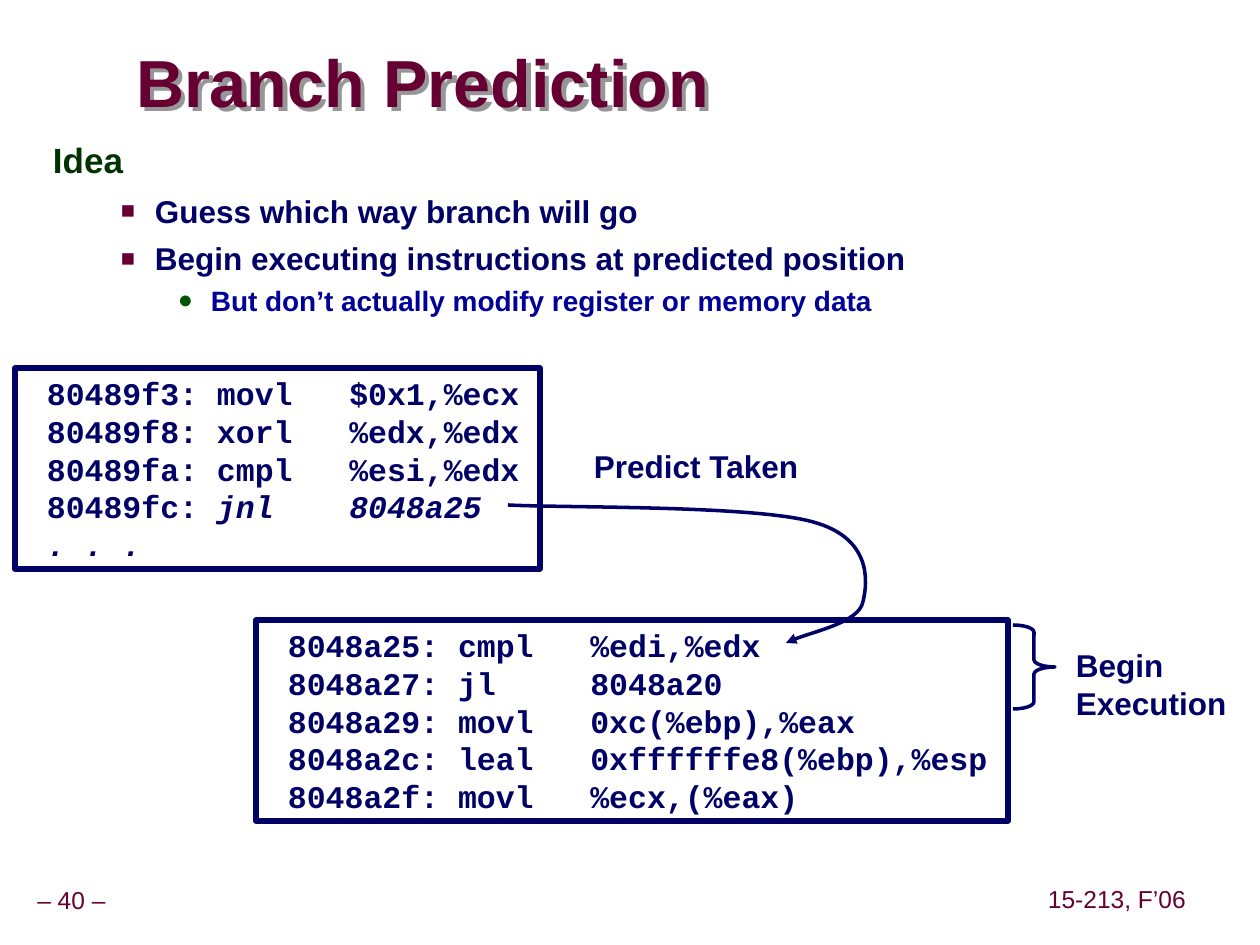
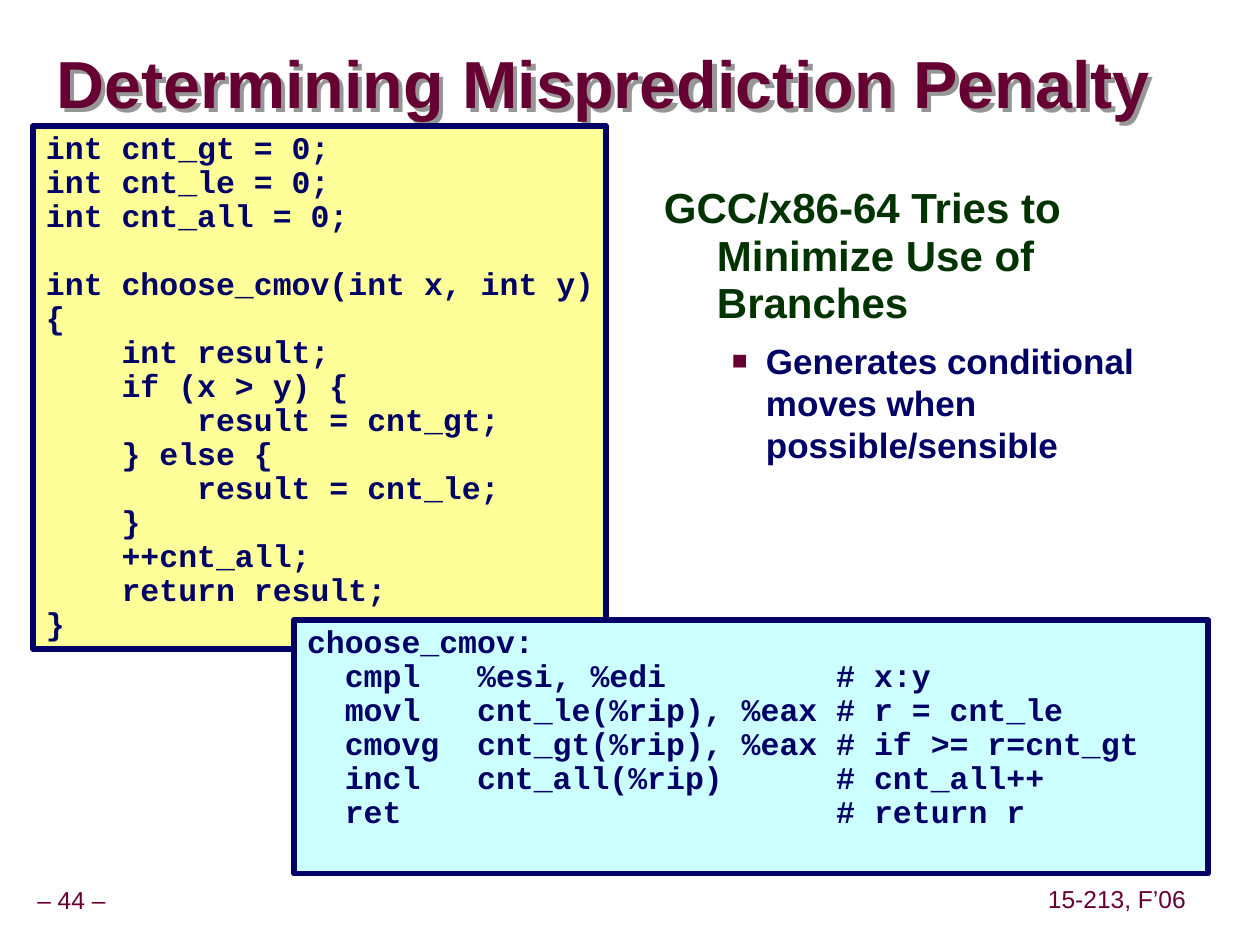
"""Build two lecture slides on branch prediction and misprediction penalty."""
from lxml import etree
from pptx import Presentation
from pptx.dml.color import RGBColor
from pptx.enum.shapes import MSO_SHAPE
from pptx.enum.text import MSO_ANCHOR, MSO_AUTO_SIZE, PP_ALIGN
from pptx.oxml.ns import qn
from pptx.util import Pt

PX = 7257
RECTANGLE, RIGHT_BRACE = MSO_SHAPE.RECTANGLE, MSO_SHAPE.RIGHT_BRACE
MIDDLE, TOP = MSO_ANCHOR.MIDDLE, MSO_ANCHOR.TOP
LEFT, CENTER = PP_ALIGN.LEFT, PP_ALIGN.CENTER
NO_FIT = MSO_AUTO_SIZE.NONE
TITLE_ONLY = 5

COLORS = {
    "maroon": "660033", "navy": "000066", "blue": "000099", "green": "003300",
    "bullet green": "005400", "yellow": "FFFF99", "cyan": "CCFFFF", "shadow": "969696",
}
STYLES = {
    "title": dict(size=38, color="maroon", spacing=0.87),
    "footer": dict(size=14, color="maroon", bold=False, spacing=0.9, align=CENTER),
    "label": dict(size=18, color="navy"),
    "code": dict(size=18, color="navy", font="Courier New", tab=198),
    "tight code": dict(size=18, color="navy", font="Courier New", spacing=0.9),
    "heading": dict(size=20, color="green", spacing=0.95, indent=(53, -53)),
    "point": dict(size=18, color="navy", before=5.6, indent=(102, -34),
                  bullet=("■", "maroon", 75)),
    "detail": dict(size=16, color="blue", before=2, spacing=1.07, indent=(158, -33),
                   bullet=("●", "bullet green", 90)),
}
STYLES["large heading"] = STYLES["heading"] | dict(size=24)
STYLES["large point"] = STYLES["point"] | dict(size=20, before=6.2)
STYLES["code after gap"] = STYLES["tight code"] | dict(before=19.4)


def set_frame(shape, insets=(13, 6, 0, 6), anchor=TOP):
    """Make the text of a shape wrap inside fixed insets."""
    frame = shape.text_frame
    frame.word_wrap, frame.auto_size, frame.vertical_anchor = True, NO_FIT, anchor
    frame.margin_left, frame.margin_top, frame.margin_right, frame.margin_bottom = (
        inset * PX for inset in insets)
    return frame


def write(frame, lines):
    """Fill a frame with (style name, run, run, ...) lines; a leading ~ means italic."""
    for index, (style_name, *runs) in enumerate(lines):
        style = STYLES[style_name]
        paragraph = frame.add_paragraph() if index else frame.paragraphs[0]
        properties = paragraph._p.get_or_add_pPr()
        margin, indent = style.get("indent", (0, 0))
        properties.set("marL", str(margin * PX))
        properties.set("indent", str(indent * PX))
        if "bullet" in style:
            character, color, percent = style["bullet"]
            bullet_color = etree.SubElement(properties, qn("a:buClr"))
            etree.SubElement(bullet_color, qn("a:srgbClr"), val=COLORS[color])
            etree.SubElement(properties, qn("a:buSzPct"), val=str(percent * 1000))
            etree.SubElement(properties, qn("a:buFont"), typeface="Arial")
            etree.SubElement(properties, qn("a:buChar"), char=character)
        else:
            etree.SubElement(properties, qn("a:buNone"))
        if "tab" in style:
            tabs = etree.SubElement(properties, qn("a:tabLst"))
            etree.SubElement(tabs, qn("a:tab"), pos=str(style["tab"] * PX), algn="l")
        paragraph.alignment = style.get("align", LEFT)
        paragraph.line_spacing = style.get("spacing", 1.0)
        paragraph.space_before = Pt(style.get("before", 0) if index else 0)
        for text in runs:
            run = paragraph.add_run()
            run.text = text.removeprefix("~")
            run.font.name = style.get("font", "Arial")
            run.font.size = Pt(style["size"])
            run.font.bold = style.get("bold", True)
            run.font.italic = text.startswith("~")
            run.font.color.rgb = RGBColor.from_string(COLORS[style["color"]])


presentation = Presentation()
presentation.slide_width, presentation.slide_height = 1260 * PX, 945 * PX

SLIDES = [
    {
        "number": 40,
        "title": ("Branch Prediction", (136, 47, 776, 79)),
        "body": ((40, 136, 1145, 282), [
            ("heading", "Idea"),
            ("point", "Guess which way branch will go"),
            ("point", "Begin executing instructions at predicted position"),
            ("detail", "But don’t actually modify register or memory data"),
        ]),
        "code": [
            ((15, 368, 525, 201), None, [
                ("code", " 80489f3:\tmovl   $0x1,%ecx"),
                ("code", " 80489f8:\txorl   %edx,%edx"),
                ("code", " 80489fa:\tcmpl   %esi,%edx"),
                ("code", " 80489fc:\t", "~jnl    8048a25"),
                ("code", "~ . . ."),
            ]),
            ((256, 620, 752, 201), None, [
                ("code", " 8048a25:\tcmpl   %edi,%edx"),
                ("code", " 8048a27:\tjl     8048a20"),
                ("code", " 8048a29:\tmovl   0xc(%ebp),%eax"),
                ("code", " 8048a2c:\tleal   0xffffffe8(%ebp),%esp"),
                ("code", " 8048a2f:\tmovl   %ecx,(%eax)"),
            ]),
        ],
    },
    {
        "number": 44,
        "title": ("Determining Misprediction Penalty", (56, 34, 1200, 107)),
        "body": ((651, 179, 534, 709), [
            ("large heading", "GCC/x86-64 Tries to Minimize Use of Branches"),
            ("large point", "Generates conditional moves when possible/sensible"),
        ]),
        "code": [
            ((33, 126, 573, 523), "yellow", [
                ("tight code", "int cnt_gt = 0;"),
                ("tight code", "int cnt_le = 0;"),
                ("tight code", "int cnt_all = 0;"),
                ("code after gap", "int choose_cmov(int x, int y)"),
                ("tight code", "{"),
                ("tight code", "    int result;"),
                ("tight code", "    if (x > y) {"),
                ("tight code", "        result = cnt_gt;"),
                ("tight code", "    } else {"),
                ("tight code", "        result = cnt_le;"),
                ("tight code", "    }"),
                ("tight code", "    ++cnt_all;"),
                ("tight code", "    return result;"),
                ("tight code", "}"),
            ]),
            ((294, 620, 914, 254), "cyan", [
                ("tight code", "choose_cmov:"),
                ("tight code", "  cmpl   %esi, %edi         # x:y"),
                ("tight code", "  movl   cnt_le(%rip), %eax # r = cnt_le"),
                ("tight code", "  cmovg  cnt_gt(%rip), %eax # if >= r=cnt_gt"),
                ("tight code", "  incl   cnt_all(%rip)      # cnt_all++"),
                ("tight code", "  ret                       # return r"),
            ]),
        ],
    },
]

for content in SLIDES:
    slide = presentation.slides.add_slide(presentation.slide_layouts[TITLE_ONLY])

    title_text, box = content["title"]
    title = slide.shapes.title
    title.left, title.top, title.width, title.height = (length * PX for length in box)
    write(set_frame(title, (0, 0, 0, 0), MIDDLE), [("title", title_text)])
    effects = etree.SubElement(title._element.spPr, qn("a:effectLst"))
    shadow = etree.SubElement(effects, qn("a:outerShdw"), dist=str(6 * PX), dir="2700000")
    etree.SubElement(shadow, qn("a:srgbClr"), val=COLORS["shadow"])

    footers = [(f"– {content['number']} –", (-11, 882, 165, 39)),
               ("15-213, F’06", (1037, 881, 160, 39))]
    for text, box in footers:
        footer = slide.shapes.add_textbox(*(length * PX for length in box))
        write(set_frame(footer, (0, 0, 0, 0), MIDDLE), [("footer", text)])

    box, lines = content["body"]
    body = slide.shapes.add_textbox(*(length * PX for length in box))
    write(set_frame(body, (13, 6, 13, 6)), lines)

    for box, fill, lines in content["code"]:
        code_box = slide.shapes.add_shape(RECTANGLE, *(length * PX for length in box))
        code_box.shadow.inherit = False
        if fill:
            code_box.fill.solid()
            code_box.fill.fore_color.rgb = RGBColor.from_string(COLORS[fill])
        else:
            code_box.fill.background()
        code_box.line.color.rgb = RGBColor.from_string(COLORS["navy"])
        code_box.line.width = Pt(3)
        write(set_frame(code_box), lines)

slide = presentation.slides[0]
labels = [((581, 441, 232, 50), ["Predict Taken"]),
          ((1063, 640, 175, 88), ["Begin", "Execution"])]
for box, lines in labels:
    label = slide.shapes.add_textbox(*(length * PX for length in box))
    write(set_frame(label), [("label", line) for line in lines])

jump_points = [(508, 505), (559, 508), (753, 505), (813, 522), (872, 538),
               (868, 582), (863, 602), (859, 622), (803, 634), (786, 643)]
(start_x, start_y), *curve_points = [(x * PX, y * PX) for x, y in jump_points]
builder = slide.shapes.build_freeform(start_x, start_y)
builder.add_line_segments(curve_points, close=False)
jump_arrow = builder.convert_to_shape()
outline = jump_arrow._element.find(".//" + qn("a:path"))
for index, segment in enumerate(outline.findall(qn("a:lnTo"))):
    if index % 3 == 0:
        curve = etree.SubElement(outline, qn("a:cubicBezTo"))
    curve.append(segment[0])
    outline.remove(segment)

brace = slide.shapes.add_shape(RIGHT_BRACE, 1013 * PX, 625 * PX, 42 * PX, 84 * PX)
brace.adjustments[0] = 0.17
for shape in (jump_arrow, brace):
    shape.shadow.inherit = False
    shape.fill.background()
    shape.line.color.rgb = RGBColor.from_string(COLORS["navy"])
    shape.line.width = Pt(2)
etree.SubElement(jump_arrow.line._get_or_add_ln(), qn("a:tailEnd"), type="triangle")

presentation.save("out.pptx")
